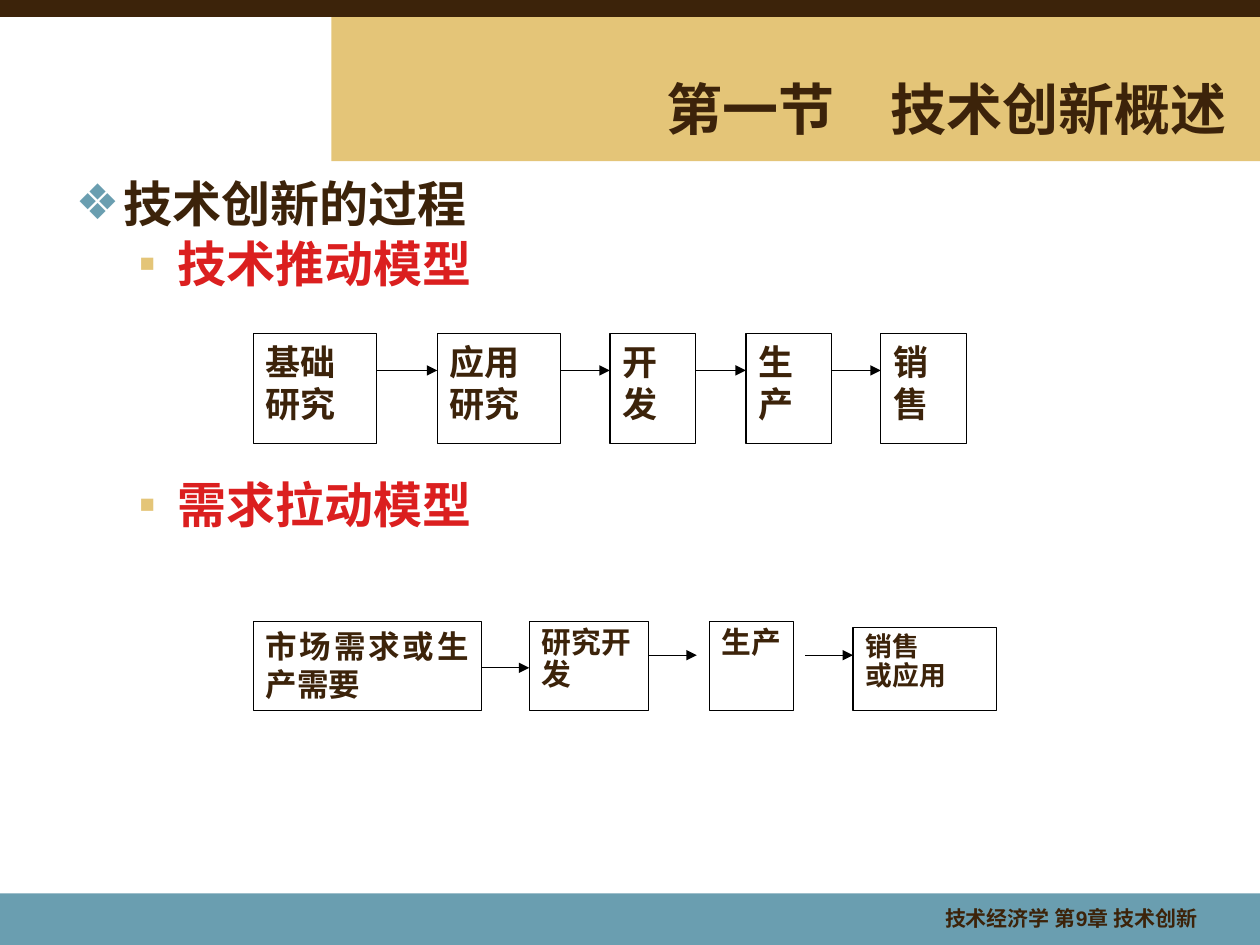
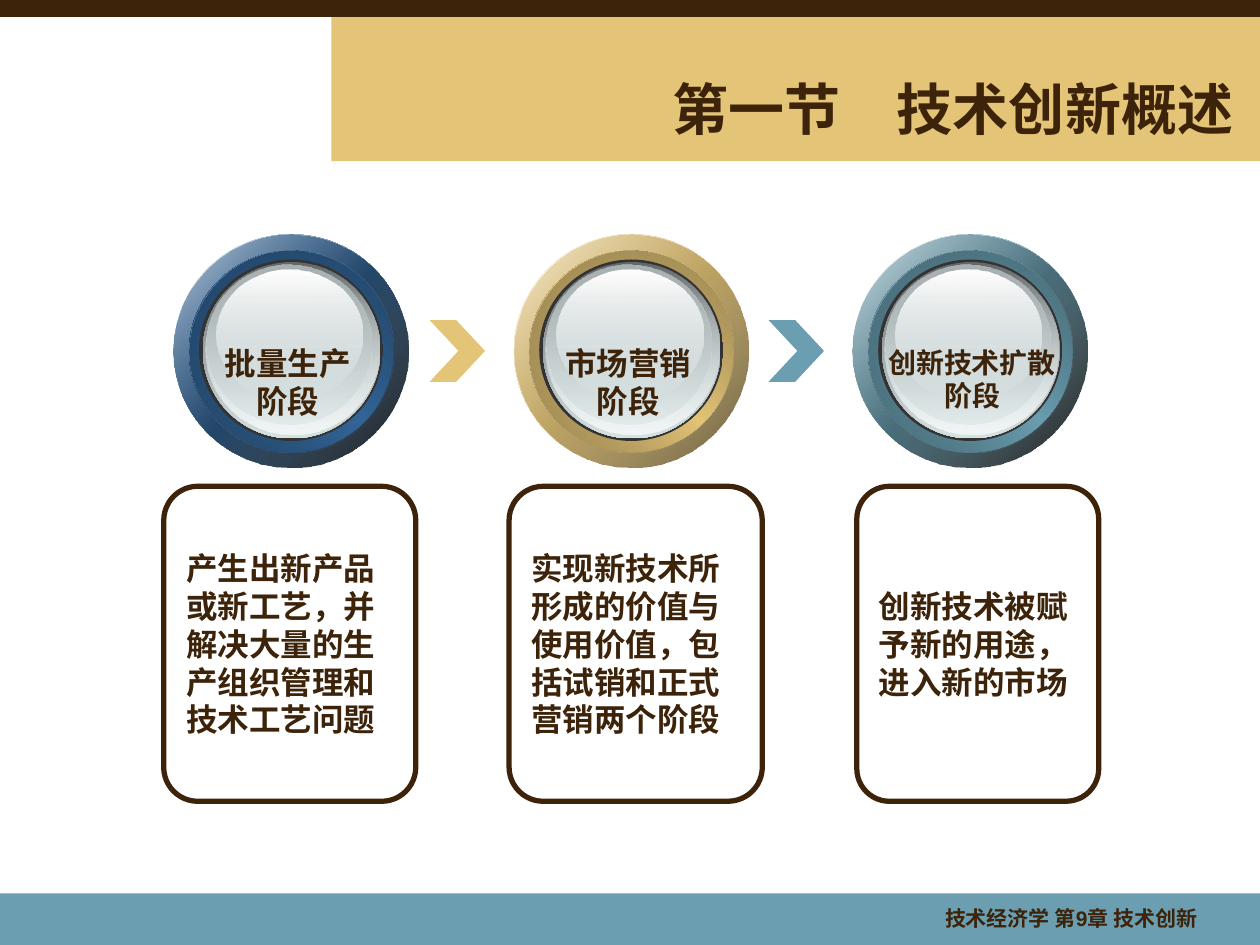
from lxml.etree import SubElement
from pptx import Presentation
from pptx.dml.color import RGBColor
from pptx.enum.shapes import MSO_CONNECTOR, MSO_SHAPE
from pptx.enum.text import MSO_ANCHOR, MSO_AUTO_SIZE, PP_ALIGN
from pptx.oxml import parse_xml
from pptx.oxml.ns import nsdecls, qn
from pptx.util import Inches, Pt

BROWN, GOLD, TEAL, BLUE = "3C230A", "E4C578", "6A9EB0", "336699"
RED, WHITE, BLACK = "DB1F1F", "FFFFFF", "000000"
SERIF = "Times New Roman"
TITLE = "第一节　技术创新概述"
FOOTER = "技术经济学 第9章 技术创新"


def rgb(color):
    """Turn a hex string into a colour."""
    return RGBColor.from_string(color)


def inches(*lengths):
    """Turn numbers into lengths."""
    return [Inches(n) for n in lengths]


def apply(obj, values):
    """Set each attribute named in a dict of format values."""
    for name, value in values.items():
        setattr(obj, name, value)


def add_run(p, text, size, font="Arial", color=BROWN):
    """Add a bold run to a paragraph."""
    r = p.add_run()
    r.text = text
    apply(r.font, {"size": Pt(size), "name": font, "bold": True})
    r.font.color.rgb = rgb(color)


def write(tf, text, size, font="Arial", frame=None, para=None):
    """Write lines of text into a frame, one paragraph a line."""
    apply(tf, {"word_wrap": True, "auto_size": MSO_AUTO_SIZE.NONE,
               "vertical_anchor": MSO_ANCHOR.TOP, **(frame or {})})
    for i, line in enumerate(text.split("\n")):
        p = tf.add_paragraph() if i else tf.paragraphs[0]
        apply(p, {"alignment": PP_ALIGN.LEFT, "space_before": Pt(0), **(para or {})})
        add_run(p, line, size, font)


def add_shape(s, kind, at, fill=None, line=None, width=0.75):
    """Add a flat preset shape."""
    sp = s.shapes.add_shape(kind, *inches(*at))
    sp.shadow.inherit = False
    if fill:
        sp.fill.solid()
        sp.fill.fore_color.rgb = rgb(fill)
    else:
        sp.fill.background()
    if line:
        sp.line.color.rgb = rgb(line)
        sp.line.width = Pt(width)
    else:
        sp.line.fill.background()
    return sp


def add_text(s, at, text, size, frame=None, para=None):
    """Add a text box."""
    tb = s.shapes.add_textbox(*inches(*at))
    write(tb.text_frame, text, size, frame=frame, para=para)


def place(sp, at):
    """Move and size a placeholder."""
    apply(sp, dict(zip(("left", "top", "width", "height"), inches(*at))))


def add_bands(prs, s):
    """Put the coloured bands behind everything on the slide master."""
    bands = [((2.63, 0.13, 7.37, 1.15), GOLD, None),
             ((0, 7.09, 10, 0.41), TEAL, None),
             ((0, 0, 10, 0.13), BROWN, BROWN)]
    tree = prs.slide_master.shapes.element
    for i, (at, fill, line) in enumerate(bands):
        sp = add_shape(s, MSO_SHAPE.RECTANGLE, at, fill, line)
        tree.insert(2 + i, sp.element)


def add_slide(prs, layout, title_at, align):
    """Add a slide with the section title and footer."""
    s = prs.slides.add_slide(prs.slide_layouts[layout])
    place(s.shapes.title, title_at)
    write(s.shapes.title.text_frame, TITLE, 32,
          frame={"vertical_anchor": MSO_ANCHOR.MIDDLE}, para={"alignment": align})
    add_text(s, (6.18, 7.14, 3.42, 0.33), FOOTER, 12, para={"alignment": PP_ALIGN.RIGHT})
    return s


def add_bullet(p, char, color, left, hang):
    """Give a paragraph a coloured bullet and a hanging indent."""
    pPr = p._p.get_or_add_pPr()
    pPr.set("marL", str(Inches(left)))
    pPr.set("indent", str(-Inches(hang)))
    clr = SubElement(pPr, qn("a:buClr"))
    SubElement(clr, qn("a:srgbClr")).set("val", color)
    SubElement(pPr, qn("a:buChar")).set("char", char)


def add_outline(s):
    """Fill the body placeholder with the heading and its two models."""
    body = s.placeholders[1]
    place(body, (0.5, 1.42, 9.08, 3.83))
    tf = body.text_frame
    tf.auto_size = MSO_AUTO_SIZE.NONE
    items = [("技术创新的过程", 0, 0, "DejaVu Sans", BROWN),
             ("技术推动模型", 1, 7, "Arial", RED),
             ("需求拉动模型", 1, 111, "Arial", RED)]
    bullets = [("❖", TEAL, 0.38, 0.38), ("▪", GOLD, 0.81, 0.31)]
    for i, (text, level, before, font, color) in enumerate(items):
        p = tf.add_paragraph() if i else tf.paragraphs[0]
        add_bullet(p, *bullets[level])
        apply(p, {"level": level, "space_before": Pt(before), "line_spacing": 0.8})
        add_run(p, text, 28, font, color)


def add_step(s, at, text, size, **para):
    """Add a boxed step of a flow."""
    sp = add_shape(s, MSO_SHAPE.RECTANGLE, at, WHITE, BLACK)
    write(sp.text_frame, text, size, SERIF, para=para)


def add_arrow(s, start, end, y):
    """Add a level arrow."""
    c = s.shapes.add_connector(MSO_CONNECTOR.STRAIGHT, *inches(start, y, end, y))
    c.line.color.rgb = rgb(BLACK)
    c.line.width = Pt(0.75)
    SubElement(c.line._get_or_add_ln(), qn("a:tailEnd")).set("type", "triangle")
    SubElement(c.element.spPr, qn("a:effectLst"))


def add_push_flow(s):
    """Draw the technology push model."""
    steps = [("基础研究", 2.01, 0.98), ("应用研究", 3.47, 0.98), ("开发", 4.84, 0.68),
             ("生产", 5.92, 0.68), ("销售", 6.99, 0.68)]
    for text, left, width in steps:
        add_step(s, (left, 2.65, width, 0.87), text, 20)
    for (_, left, width), (_, end, _) in zip(steps, steps[1:]):
        add_arrow(s, left + width, end, 2.94)


def add_pull_flow(s):
    """Draw the demand pull model."""
    justify = PP_ALIGN.JUSTIFY
    add_step(s, (2.01, 4.93, 1.81, 0.71), "市场需求或生产需要", 18, alignment=justify)
    add_step(s, (4.2, 4.93, 0.95, 0.71), "研究开发", 17, line_spacing=0.9)
    add_step(s, (5.63, 4.93, 0.67, 0.71), "生产", 17, alignment=justify, line_spacing=0.9)
    add_step(s, (6.77, 4.98, 1.14, 0.66), "销售\n或应用", 15.3,
             alignment=justify, line_spacing=0.9)
    for start, y in [(3.82, 5.3), (5.15, 5.2), (6.39, 5.2)]:
        add_arrow(s, start, start + 0.38, y)


def set_gradient(sp, stops, angle):
    """Fill a shape with a linear gradient of (position, colour, opacity) stops."""
    gs = "".join(
        f'<a:gs pos="{pos * 1000}"><a:srgbClr val="{color}">'
        f'<a:alpha val="{alpha * 1000}"/></a:srgbClr></a:gs>'
        for pos, color, alpha in stops)
    grad = parse_xml(f'<a:gradFill {nsdecls("a")} rotWithShape="1"><a:gsLst>{gs}</a:gsLst>'
                     f'<a:lin ang="{angle * 60000}" scaled="0"/></a:gradFill>')
    spPr = sp.element.spPr
    spPr.replace(spPr.find(qn("a:noFill")), grad)


def add_ring(s, left, hue, shade, edge, rim):
    """Draw a glossy ring button from stacked ellipses."""
    top = 1.86
    pale = "D6E1E2"
    layers = [
        (0, 0, 1.86, 1.85, 45, [(0, WHITE, 100), (50, hue, 100), (100, WHITE, 100)]),
        (0, 0, 1.86, 1.85, 45, [(0, hue, 32), rim]),
        (0.12, 0.13, 1.62, 1.6, 315, [(0, shade, 100), (50, hue, 100), (100, shade, 100)]),
        (0.12, 0.13, 1.62, 1.6, 45, [(0, edge, 100), (100, hue, 0)]),
        (0.2, 0.2, 1.46, 1.44, 0, [(0, "333333", 100), (100, "333333", 100)]),
        (0.23, 0.22, 1.41, 1.4, 90, [(0, "636869", 100), (100, pale, 100)]),
        (0.25, 0.23, 1.38, 1.36, 90, [(0, pale, 0), (100, "F1F5F5", 100)]),
        (0.26, 0.24, 1.31, 1.27, 90, [(0, "AAB2B3", 100), (100, pale, 48)]),
        (0.34, 0.28, 1.16, 1.03, 90, [(0, WHITE, 100), (100, pale, 38)])]
    for dx, dy, width, height, angle, stops in layers:
        sp = add_shape(s, MSO_SHAPE.OVAL, (left + dx, top + dy, width, height))
        set_gradient(sp, stops, angle)


def add_card(s, left, width, text):
    """Add a rounded card with a description."""
    sp = add_shape(s, MSO_SHAPE.ROUNDED_RECTANGLE, (left, 3.86, width, 2.5), None, BROWN, 3)
    sp.adjustments[0] = 0.135
    write(sp.text_frame, text, 18, frame={"vertical_anchor": MSO_ANCHOR.MIDDLE})


def add_chevron(s, left, color):
    """Add a chevron between two stages."""
    sp = add_shape(s, MSO_SHAPE.CHEVRON, (left, 2.54, 0.44, 0.49), color)
    sp.adjustments[0] = 0.52


def add_stages(s):
    """Draw the three stages with their cards."""
    dark = (100, BLACK, 90)
    rings = [(1.38, BLUE, "1C3753", "204161", dark),
             (4.08, GOLD, "7B6B41", "917D4C", (100, "6A5B38", 100)),
             (6.77, TEAL, "39565F", "436470", dark)]
    cards = [(1.3, 2, "产生出新产品或新工艺，并解决大量的生产组织管理和技术工艺问题"),
             (4.04, 2.01, "实现新技术所形成的价值与使用价值，包括试销和正式营销两个阶段"),
             (6.8, 1.92, "创新技术被赋予新的用途，进入新的市场")]
    labels = [((1.66, 2.68, 1.25, 0.7), "批量生产\n阶段", 18),
              ((4.36, 2.68, 1.25, 0.7), "市场营销\n阶段", 18),
              ((6.95, 2.69, 1.53, 0.64), "创新技术扩散\n阶段", 16)]
    for ring, card, label in zip(rings, cards, labels):
        add_ring(s, *ring)
        add_card(s, *card)
        add_text(s, *label, frame={"word_wrap": False}, para={"alignment": PP_ALIGN.CENTER})
    add_chevron(s, 3.41, GOLD)
    add_chevron(s, 6.1, TEAL)


def main():
    """Build the two slides and save them."""
    prs = Presentation()
    prs.slide_width, prs.slide_height = inches(10, 7.5)
    s = add_slide(prs, 1, (2.92, 0.55, 6.92, 0.62), PP_ALIGN.RIGHT)
    add_bands(prs, s)
    add_outline(s)
    add_push_flow(s)
    add_pull_flow(s)
    s = add_slide(prs, 5, (5.24, 0.55, 4.7, 0.62), PP_ALIGN.LEFT)
    add_stages(s)
    prs.save("out.pptx")


if __name__ == "__main__":
    main()
